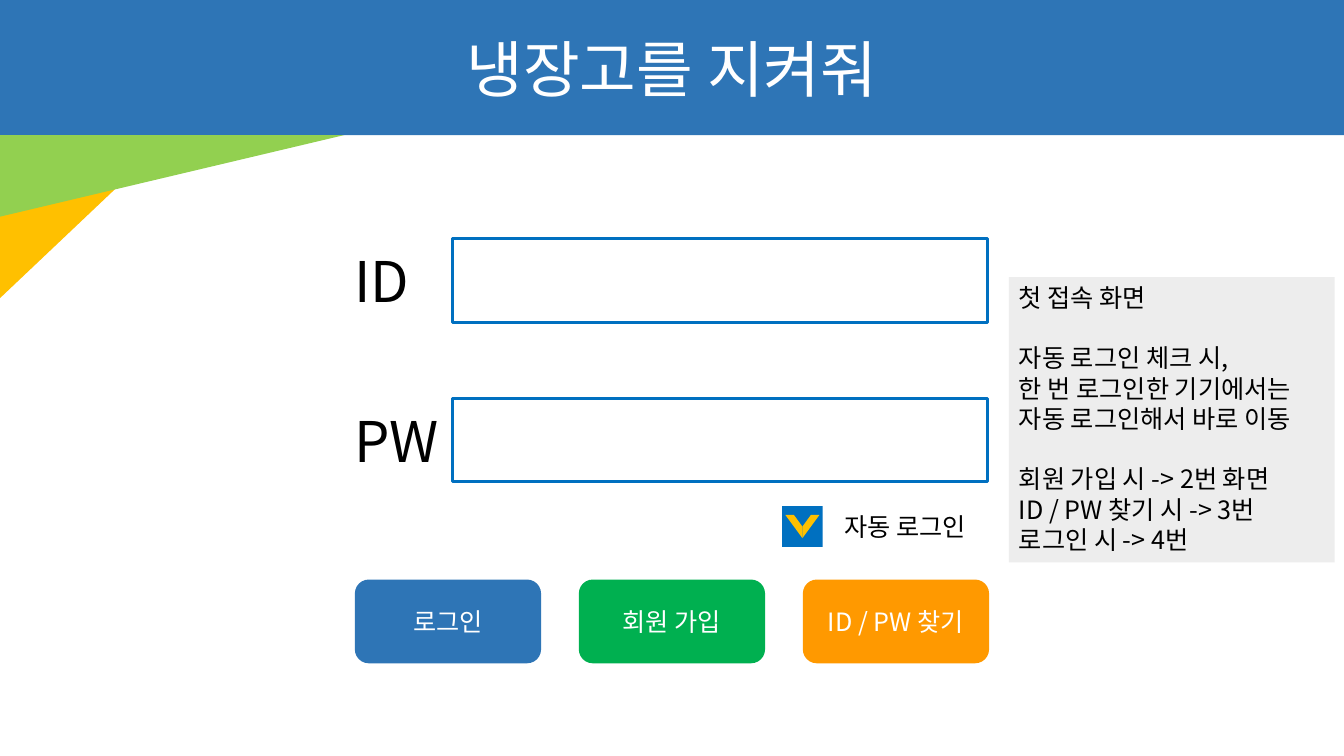
import pptx
import pptx.dml.color
import pptx.enum.shapes
import pptx.enum.text
import pptx.oxml.ns
import pptx.util
from lxml import etree

Pt = pptx.util.Pt
RGB = pptx.dml.color.RGBColor
KIND = pptx.enum.shapes.MSO_SHAPE
ALIGN = pptx.enum.text.PP_ALIGN
MIDDLE = pptx.enum.text.MSO_ANCHOR.MIDDLE

FACE = "Noto Sans CJK KR"
BLUE = RGB(0x2E, 0x75, 0xB6)
AZURE = RGB(0x00, 0x70, 0xC0)
GREEN = RGB(0x00, 0xB0, 0x50)
LIME = RGB(0x92, 0xD0, 0x50)
ORANGE = RGB(0xFF, 0x99, 0x00)
GOLD = RGB(0xFF, 0xC0, 0x00)
GREY = RGB(0xED, 0xED, 0xED)
WHITE = RGB(0xFF, 0xFF, 0xFF)
BLACK = RGB(0, 0, 0)

NOTES = [
    ["첫 접속 화면"],
    ["자동 로그인 체크 시,", "한 번 로그인한 기기에서는 자동 로그인해서 바로 이동"],
    ["회원 가입 시 -> 2번 화면", "ID / PW 찾기 시 -> 3번", "로그인 시 -> 4번"],
]
BUTTONS = [("로그인", BLUE), ("회원 가입", GREEN), ("ID / PW 찾기", ORANGE)]


def add_run(para, text, size, color):
    run = para.add_run()
    run.text = text
    font = run.font
    font.name, font.size = FACE, Pt(size)
    font.color.rgb = color
    east = etree.SubElement(run._r.get_or_add_rPr(), pptx.oxml.ns.qn("a:ea"))
    east.set("typeface", FACE)


def add_shape(slide, kind, box, fill=None, line=None, flip=None):
    """Draw a preset shape; flip is None, "flipH" or "flipV"."""
    shape = slide.shapes.add_shape(kind, *map(Pt, box))
    shape.shadow.inherit = False
    if fill is None:
        shape.fill.background()
    else:
        shape.fill.solid()
        shape.fill.fore_color.rgb = fill
    if line is None:
        shape.line.fill.background()
    else:
        shape.line.color.rgb = line
        shape.line.width = Pt(2.25)
    if flip:
        shape._element.spPr.xfrm.set(flip, "1")
    return shape


def add_label(slide, box, text, size):
    frame = slide.shapes.add_textbox(*map(Pt, box)).text_frame
    frame.word_wrap = True
    frame.vertical_anchor = MIDDLE
    add_run(frame.paragraphs[0], text, size, BLACK)


def set_title(slide, text):
    title = slide.shapes.title
    title.left, title.top, title.width, title.height = map(Pt, (0, 0, 960, 96.5))
    title.fill.solid()
    title.fill.fore_color.rgb = BLUE
    title.text_frame.vertical_anchor = MIDDLE
    para = title.text_frame.paragraphs[0]
    para.alignment = ALIGN.CENTER
    para.line_spacing = 1.0
    add_run(para, text, 44, WHITE)


def add_notes(slide):
    """Add the grey panel, with one line of space between groups."""
    panel = add_shape(slide, KIND.RECTANGLE, (720.7, 198, 232.6, 203.8), GREY)
    frame = panel.text_frame
    frame.word_wrap = True
    frame.vertical_anchor = pptx.enum.text.MSO_ANCHOR.TOP
    para = frame.paragraphs[0]
    for part, group in enumerate(NOTES):
        for row, text in enumerate(group):
            if part or row:
                para = frame.add_paragraph()
                para.space_before = Pt(0 if row else 21.6)
            para.alignment = ALIGN.LEFT
            para.line_spacing = Pt(21.6)
            add_run(para, text, 18, BLACK)


def add_field(slide, top, name):
    add_shape(slide, KIND.RECTANGLE, (323.3, top, 382.3, 59.8), line=AZURE)
    add_label(slide, (246.2, top + 2, 77, 55.4), name, 40)


def add_button(slide, left, text, fill):
    box = (left, 414, 133, 59.8)
    frame = add_shape(slide, KIND.ROUNDED_RECTANGLE, box, fill).text_frame
    frame.vertical_anchor = MIDDLE
    para = frame.paragraphs[0]
    para.alignment = ALIGN.CENTER
    add_run(para, text, 18, WHITE)


def add_check(slide):
    add_shape(slide, KIND.RECTANGLE, (558.7, 361.6, 29, 29), AZURE)
    for left, flip in ((573.2, None), (561, "flipH")):
        box = (left, 367.8, 12.2, 16.6)
        add_shape(slide, KIND.DIAGONAL_STRIPE, box, GOLD, flip=flip)
    add_label(slide, (596.2, 361.6, 231.8, 29), "자동 로그인", 18)


def main():
    deck = pptx.Presentation()
    deck.slide_width, deck.slide_height = Pt(960), Pt(540)
    slide = deck.slides.add_slide(deck.slide_layouts[5])
    set_title(slide, "냉장고를 지켜줘")
    for width, height, fill in ((123, 116.5, GOLD), (246, 58.3, LIME)):
        box = (0, 96.5, width, height)
        add_shape(slide, KIND.RIGHT_TRIANGLE, box, fill, flip="flipV")
    add_notes(slide)
    for top, name in ((170.4, "ID"), (284.4, "PW")):
        add_field(slide, top, name)
    add_check(slide)
    for place, (text, fill) in enumerate(BUTTONS):
        add_button(slide, 253.5 + 160 * place, text, fill)
    deck.save("out.pptx")


if __name__ == "__main__":
    main()
